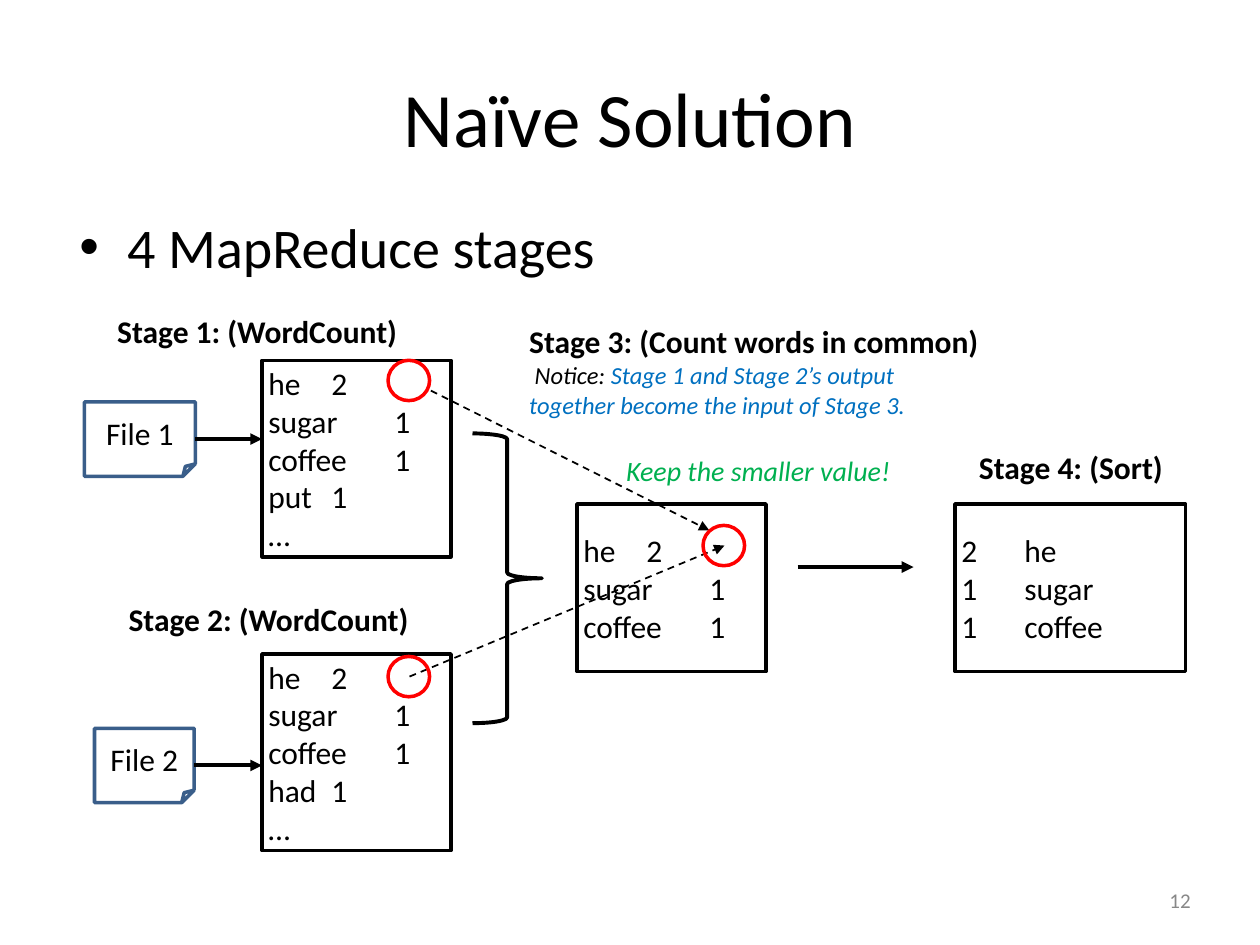
from lxml.etree import SubElement
from pptx import Presentation
from pptx.dml.color import RGBColor
from pptx.enum.dml import MSO_LINE
from pptx.enum.shapes import MSO_CONNECTOR, MSO_SHAPE
from pptx.enum.text import MSO_ANCHOR, PP_ALIGN
from pptx.oxml.ns import qn
from pptx.util import Inches, Pt

BLACK = RGBColor(0, 0, 0)
NAVY = RGBColor(0x3A, 0x5E, 0x8A)
BLUE = RGBColor(0x00, 0x70, 0xC0)
GREEN = RGBColor(0x00, 0xB0, 0x50)
RED = RGBColor(0xFF, 0, 0)
GREY = RGBColor(0x88, 0x88, 0x88)
FONT = "Calibri"


def set_frame(frame, anchor=MSO_ANCHOR.TOP):
    frame.word_wrap = True
    frame.vertical_anchor = anchor
    frame.margin_left = frame.margin_right = Inches(0.05)
    frame.margin_top = frame.margin_bottom = Inches(0.05)


def add_run(para, text, size=18, color=BLACK, bold=False, italic=False):
    run = para.add_run()
    run.text = text
    font = run.font
    font.name, font.size = FONT, Pt(size)
    font.bold, font.italic = bold, italic
    font.color.rgb = color


def add_text(slide, left, top, width, height, anchor=MSO_ANCHOR.TOP):
    """Add an empty text box and return its frame."""
    box = slide.shapes.add_textbox(
        Inches(left), Inches(top), Inches(width), Inches(height))
    set_frame(box.text_frame, anchor)
    return box.text_frame


def add_outline(slide, kind, left, top, width, height, color=BLACK, weight=2):
    """Add an unfilled preset shape."""
    shape = slide.shapes.add_shape(
        kind, Inches(left), Inches(top), Inches(width), Inches(height))
    shape.shadow.inherit = False
    shape.fill.background()
    shape.line.color.rgb = color
    shape.line.width = Pt(weight)
    return shape


def add_table_box(slide, left, top, width, height, rows):
    """Add a box of tabbed rows, one paragraph to a row."""
    shape = add_outline(slide, MSO_SHAPE.RECTANGLE, left, top, width, height)
    frame = shape.text_frame
    set_frame(frame, MSO_ANCHOR.MIDDLE)
    for i, row in enumerate(rows):
        para = frame.add_paragraph() if i else frame.paragraphs[0]
        para.alignment = PP_ALIGN.LEFT
        add_run(para, row)


def add_file(slide, left, top, width, label):
    shape = add_outline(
        slide, MSO_SHAPE.FOLDED_CORNER, left, top, width, 0.59, NAVY)
    set_frame(shape.text_frame, MSO_ANCHOR.MIDDLE)
    para = shape.text_frame.paragraphs[0]
    para.alignment = PP_ALIGN.CENTER
    add_run(para, label)
    return shape


def add_arrow(slide, x1, y1, x2, y2, weight=2.25, dashed=False):
    line = slide.shapes.add_connector(
        MSO_CONNECTOR.STRAIGHT,
        Inches(x1), Inches(y1), Inches(x2), Inches(y2))
    line.line.color.rgb = BLACK
    line.line.width = Pt(weight)
    if dashed:
        line.line.dash_style = MSO_LINE.DASH
    SubElement(line.line._get_or_add_ln(), qn("a:tailEnd"), type="triangle")
    SubElement(line._element.spPr, qn("a:effectLst"))
    return line


def add_ring(slide, left, top):
    add_outline(slide, MSO_SHAPE.OVAL, left, top, 0.33, 0.32, RED)


def add_stage(slide, left, top, width, text):
    frame = add_text(slide, left, top, width, 0.39)
    add_run(frame.paragraphs[0], text, bold=True)


def add_title(slide):
    title = slide.shapes.title
    title.left, title.top = Inches(0.5), Inches(0.3)
    title.width, title.height = Inches(9), Inches(1.25)
    set_frame(title.text_frame, MSO_ANCHOR.MIDDLE)
    para = title.text_frame.paragraphs[0]
    para.alignment = PP_ALIGN.CENTER
    add_run(para, "Naïve Solution", 44)


def add_bullet(slide):
    para = add_text(slide, 0.58, 1.64, 9, 0.65).paragraphs[0]
    props = para._p.get_or_add_pPr()
    props.set("marL", str(Inches(0.38)))
    props.set("indent", str(-Inches(0.38)))
    SubElement(props, qn("a:buFont"), typeface="Arial")
    SubElement(props, qn("a:buChar"), char="•")
    add_run(para, "4 MapReduce stages", 32)


def add_notes(slide):
    """Add the heading and remarks of stage 3."""
    frame = add_text(slide, 4.15, 2.51, 3.83, 1.13)
    add_run(frame.paragraphs[0], "Stage 3: (Count words in common)", bold=True)
    para = frame.add_paragraph()
    add_run(para, " Notice: ", 14, italic=True)
    add_run(para, "Stage 1 and Stage 2’s output", 14, BLUE, italic=True)
    para = frame.add_paragraph()
    add_run(para, "together become the input of Stage 3.", 14, BLUE,
            italic=True)
    frame = add_text(slide, 4.92, 3.55, 2.42, 0.4)
    add_run(frame.paragraphs[0], "Keep the smaller value!", 16, GREEN,
            italic=True)


def add_number(slide):
    frame = add_text(slide, 9.21, 7, 0.29, 0.29, MSO_ANCHOR.MIDDLE)
    frame.word_wrap = False
    frame.paragraphs[0].alignment = PP_ALIGN.RIGHT
    add_run(frame.paragraphs[0], "12", 12, GREY)


def main():
    deck = Presentation()
    deck.slide_width, deck.slide_height = Inches(10), Inches(7.5)
    slide = deck.slides.add_slide(deck.slide_layouts[5])
    add_title(slide)
    add_bullet(slide)

    counts = ["he\t2", "sugar\t1", "coffee\t1"]
    inputs = [
        ("File 1", 0.67, 3.19, 0.88, 2.86, "put\t1"),
        ("File 2", 0.75, 5.78, 0.79, 5.19, "had\t1"),
    ]
    for label, left, top, width, box_top, last in inputs:
        sheet = add_file(slide, left, top, width, label)
        add_table_box(slide, 2.08, box_top, 1.5, 1.56, counts + [last, "…"])
        mid = top + 0.59 / 2
        arrow = add_arrow(slide, left + width, mid, 2.08, mid)
        arrow.begin_connect(sheet, 3)
    add_stage(slide, 0.88, 2.43, 2.62, "Stage 1: (WordCount)")
    add_stage(slide, 0.97, 4.71, 2.62, "Stage 2: (WordCount)")
    add_outline(slide, MSO_SHAPE.RIGHT_BRACE, 3.75, 3.44, 0.55, 2.3,
                weight=2.25)

    add_table_box(slide, 4.58, 4, 1.5, 1.33, counts)
    add_notes(slide)
    add_arrow(slide, 3.42, 3.1, 5.63, 4.21, 1, dashed=True)
    add_arrow(slide, 3.25, 5.37, 5.75, 4.33, 1, dashed=True)
    for left, top in [(3.08, 2.86), (3.08, 5.21), (5.58, 4.17)]:
        add_ring(slide, left, top)

    add_arrow(slide, 6.33, 4.5, 7.25, 4.5)
    add_table_box(slide, 7.58, 4, 1.83, 1.33,
                  ["2\the", "1\tsugar", "1\tcoffee"])
    add_stage(slide, 7.72, 3.51, 2.03, "Stage 4: (Sort)")
    add_number(slide)
    deck.save("out.pptx")


if __name__ == "__main__":
    main()
